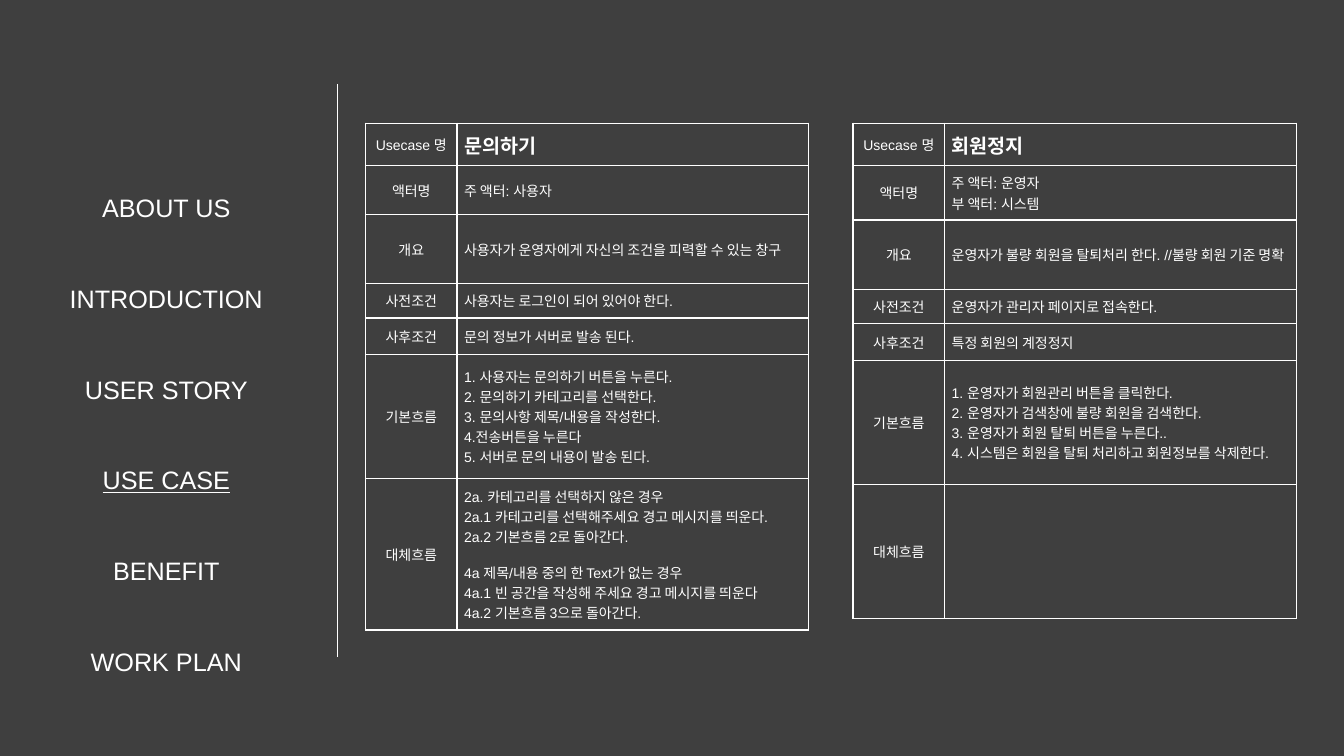
from lxml import etree
from pptx import Presentation
from pptx.dml.color import RGBColor
from pptx.enum import shapes, text
from pptx.oxml.ns import qn
from pptx.util import Pt

GREY = RGBColor(0x3F, 0x3F, 0x3F)
WHITE = RGBColor(0xFF, 0xFF, 0xFF)

MENU = ["ABOUT US", "INTRODUCTION", "USER STORY", "USE CASE", "BENEFIT", "WORK PLAN"]
HEADS = ["Usecase 명", "액터명", "개요", "사전조건", "사후조건", "기본흐름", "대체흐름"]
COLS = [65.5, 251.3]
ROWS = [30.2, 34.6, 49.7, 23, 26, 89, 95.8]

# One list per row; each inner list is a group of lines set apart from the next.
INQUIRY = [
    [["문의하기"]],
    [["주 액터: 사용자"]],
    [["사용자가 운영자에게 자신의 조건을 피력할 수 있는 창구"]],
    [["사용자는 로그인이 되어 있어야 한다."]],
    [["문의 정보가 서버로 발송 된다."]],
    [["1. 사용자는 문의하기 버튼을 누른다.",
      "2. 문의하기 카테고리를 선택한다.",
      "3. 문의사항 제목/내용을 작성한다.",
      "4.전송버튼을 누른다",
      "5. 서버로 문의 내용이 발송 된다."]],
    [["2a. 카테고리를 선택하지 않은 경우",
      "2a.1 카테고리를 선택해주세요 경고 메시지를 띄운다.",
      "2a.2 기본흐름 2로 돌아간다."],
     ["4a 제목/내용 중의 한 Text가 없는 경우",
      "4a.1 빈 공간을 작성해 주세요 경고 메시지를 띄운다",
      "4a.2 기본흐름 3으로 돌아간다."]],
]
SUSPEND = [
    [["회원정지"]],
    [["주 액터: 운영자", "부 액터: 시스템"]],
    [["운영자가 불량 회원을 탈퇴처리 한다. //불량 회원 기준 명확"]],
    [["운영자가 관리자 페이지로 접속한다."]],
    [["특정 회원의 계정정지"]],
    [["1. 운영자가 회원관리 버튼을 클릭한다.",
      "2. 운영자가 검색창에 불량 회원을 검색한다.",
      "3. 운영자가 회원 탈퇴 버튼을 누른다..",
      "4. 시스템은 회원을 탈퇴 처리하고 회원정보를 삭제한다."]],
    [],
]


class Deck:
    """Holds the text style and the current slide."""

    def __init__(self, slide, font="Arial", color=WHITE):
        self.slide = slide
        self.font = font
        self.color = color

    def run(self, para, words, size, bold=False, under=False):
        font = para.add_run()
        font.text = words
        font = font.font
        font.name = self.font
        font.size = Pt(size)
        font.bold = bold
        font.underline = under
        font.color.rgb = self.color

    def paras(self, frame, groups, gap=0):
        """Yield a paragraph for each line, with a gap before each later group."""
        first = True
        for group in groups:
            for num, words in enumerate(group):
                para = frame.paragraphs[0] if first else frame.add_paragraph()
                if num == 0 and not first:
                    para.space_before = Pt(gap)
                first = False
                yield para, words

    def line(self, x1, y1, x2, y2, width):
        rule = self.slide.shapes.add_connector(
            shapes.MSO_CONNECTOR.STRAIGHT, Pt(x1), Pt(y1), Pt(x2), Pt(y2))
        rule.line.color.rgb = self.color
        rule.line.width = Pt(width)
        etree.SubElement(rule.element.spPr, qn("a:effectLst"))

    def menu(self, x, y, w, h, items, active):
        box = self.slide.shapes.add_textbox(Pt(x), Pt(y), Pt(w), Pt(h))
        frame = box.text_frame
        frame.word_wrap = True
        for para, words in self.paras(frame, [items]):
            para.alignment = text.PP_ALIGN.CENTER
            para.line_spacing = 3.0
            self.run(para, words, 18, under=words == active)

    def border(self, cell, width=1):
        props = cell._tc.get_or_add_tcPr()
        for side in ("a:lnL", "a:lnR", "a:lnT", "a:lnB"):
            edge = etree.SubElement(props, qn(side), w=str(Pt(width)))
            fill = etree.SubElement(edge, qn("a:solidFill"))
            etree.SubElement(fill, qn("a:srgbClr"), val=str(self.color))

    def cell(self, cell, groups, size=10, bold=False, align=text.PP_ALIGN.LEFT):
        cell.margin_left = cell.margin_right = Pt(5)
        cell.margin_top = cell.margin_bottom = Pt(5)
        cell.vertical_anchor = text.MSO_ANCHOR.MIDDLE
        self.border(cell)
        cell.fill.background()
        for para, words in self.paras(cell.text_frame, groups, gap=11.5):
            para.alignment = align
            self.run(para, words, size, bold)

    def table(self, x, y, heads, bodies):
        grid = self.slide.shapes.add_table(
            len(heads), len(COLS), Pt(x), Pt(y), Pt(sum(COLS)), Pt(sum(ROWS))).table
        for col, width in zip(grid.columns, COLS):
            col.width = Pt(width)
        for num, (head, body) in enumerate(zip(heads, bodies)):
            grid.rows[num].height = Pt(ROWS[num])
            self.cell(grid.cell(num, 0), [[head]], align=text.PP_ALIGN.CENTER)
            top = num == 0
            self.cell(grid.cell(num, 1), body, 14 if top else 10, top)


def main():
    prs = Presentation()
    prs.slide_width, prs.slide_height = Pt(960), Pt(540)
    slide = prs.slides.add_slide(prs.slide_layouts[6])
    slide.background.fill.solid()
    slide.background.fill.fore_color.rgb = GREY

    deck = Deck(slide)
    deck.line(241, 60, 241, 469.5, 0.75)
    for x, bodies in ((261, INQUIRY), (609.3, SUSPEND)):
        deck.table(x, 88, HEADS, bodies)
    deck.menu(0, 90.7, 237.6, 322.6, MENU, "USE CASE")
    prs.save("out.pptx")


if __name__ == "__main__":
    main()
